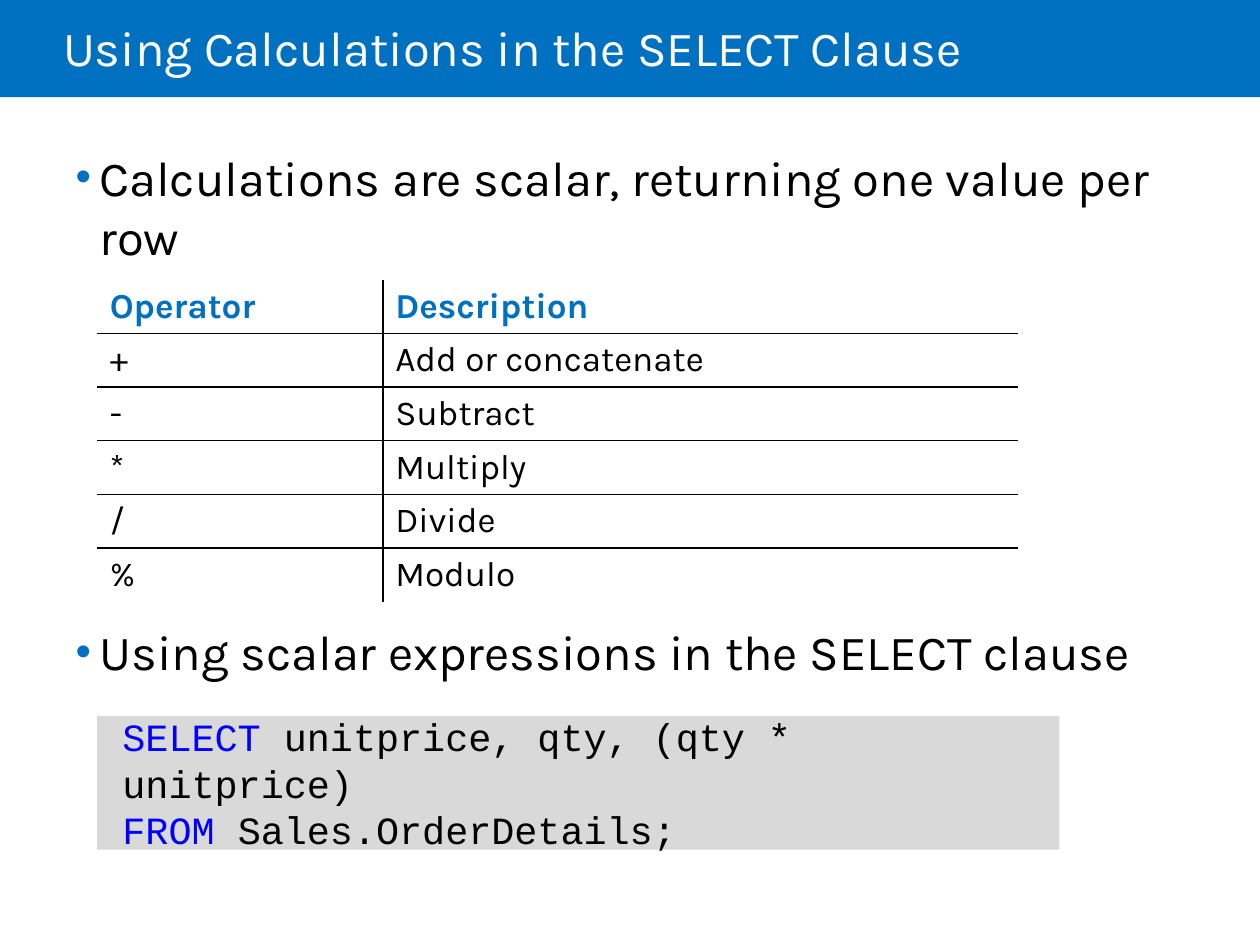
from lxml import etree
from pptx import Presentation
from pptx.dml.color import RGBColor
from pptx.enum.shapes import MSO_SHAPE
from pptx.enum.text import MSO_ANCHOR, MSO_AUTO_SIZE, PP_ALIGN
from pptx.oxml.ns import qn
from pptx.util import Cm, Pt

RECT = MSO_SHAPE.RECTANGLE
MIDDLE = MSO_ANCHOR.MIDDLE
NO_AUTOFIT = MSO_AUTO_SIZE.NONE
LEFT = PP_ALIGN.LEFT

COLORS = {"blue": "0070C0", "white": "FFFFFF", "black": "000000",
          "gray": "D9D9D9", "keyword": "0000FF"}
FONT, CODE_FONT = "Karla", "Courier New"

OPERATORS = [("Operator", "Description"), ("+", "Add or concatenate"),
             ("-", "Subtract"), ("*", "Multiply"), ("/", "Divide"),
             ("%", "Modulo")]
# The second bullet stands below the table, so its gap spans the table.
BULLETS = [("Calculations are scalar, returning one value per row", 6),
           ("Using scalar expressions in the SELECT clause", 204)]
CODE = [("SELECT", " unitprice, qty, (qty * unitprice)"),
        ("FROM", " Sales.OrderDetails;")]


def rgb(name):
    return RGBColor.from_string(COLORS[name])


def add_text(p, text, size=28, color="black", font=FONT, bold=False):
    r = p.add_run()
    r.text = text
    r.font.size, r.font.name, r.font.bold = Pt(size), font, bold
    r.font.color.rgb = rgb(color)


def place(sp, left, top, width, height):
    sp.left, sp.top, sp.width, sp.height = map(Cm, (left, top, width, height))


def add_rect(s, box, color):
    sp = s.shapes.add_shape(RECT, *map(Cm, box))
    sp.shadow.inherit = False
    sp.fill.solid()
    sp.fill.fore_color.rgb = rgb(color)
    sp.line.fill.background()
    return sp


def add_bullet(p, color):
    pPr = p._p.get_or_add_pPr()
    pPr.set("marL", str(Cm(0.48)))
    pPr.set("indent", str(-Cm(0.48)))
    clr = etree.SubElement(pPr, qn("a:buClr"))
    etree.SubElement(clr, qn("a:srgbClr"), val=COLORS[color])
    etree.SubElement(pPr, qn("a:buSzPct"), val="90000")
    etree.SubElement(pPr, qn("a:buFont"), typeface="Arial")
    etree.SubElement(pPr, qn("a:buChar"), char="•")


def set_borders(cell, visible):
    """Draw the sides named in visible (from L, R, T, B) and hide the others."""
    tcPr = cell._tc.get_or_add_tcPr()
    for side in "LRTB":
        ln = etree.SubElement(tcPr, qn(f"a:ln{side}"), w=str(Pt(1)))
        if side in visible:
            fill = etree.SubElement(ln, qn("a:solidFill"))
            etree.SubElement(fill, qn("a:srgbClr"), val=COLORS["black"])
        else:
            etree.SubElement(ln, qn("a:noFill"))


def header(s, left, top, width, height):
    bar = add_rect(s, (left, top, width, height), "blue")
    title = s.shapes.title
    title.element.getparent().insert(2, bar.element)
    place(title, left + 1.27, top, 21.59, height + 0.1)
    tf = title.text_frame
    tf.auto_size, tf.vertical_anchor = NO_AUTOFIT, MIDDLE
    tf.margin_left = 0
    p = tf.paragraphs[0]
    p.alignment, p.line_spacing = LEFT, 0.85
    add_text(p, "Using Calculations in the SELECT Clause", color="white")


def bullet_list(s, *box):
    body = s.placeholders[1]
    place(body, *box)
    tf = body.text_frame
    tf.auto_size = NO_AUTOFIT
    for i, (text, gap) in enumerate(BULLETS):
        p = tf.add_paragraph() if i else tf.paragraphs[0]
        p.space_before = Pt(gap)
        add_bullet(p, "blue")
        add_text(p, text)


def code_box(s, *box):
    tf = add_rect(s, box, "gray").text_frame
    tf.word_wrap, tf.vertical_anchor = True, MIDDLE
    tf.margin_left = tf.margin_right = Cm(0.51)
    for i, (keyword, rest) in enumerate(CODE):
        p = tf.add_paragraph() if i else tf.paragraphs[0]
        p.alignment = LEFT
        add_text(p, keyword, 22, "keyword", CODE_FONT)
        add_text(p, rest, 22, font=CODE_FONT)


def operator_table(s, left, top, width, height):
    rows = len(OPERATORS)
    table = s.shapes.add_table(rows, 2, *map(Cm, (left, top, width, height))).table
    table.first_row = table.horz_banding = False
    for col, share in zip(table.columns, (0.31, 0.69)):
        col.width = Cm(width * share)
    for i, texts in enumerate(OPERATORS):
        for j, text in enumerate(texts):
            cell = table.cell(i, j)
            sides = "RL"[j] + ("T" if i else "") + ("B" if i < rows - 1 else "")
            set_borders(cell, sides)
            cell.fill.solid()
            cell.fill.fore_color.rgb = rgb("white")
            add_text(cell.text_frame.paragraphs[0], text, 20,
                     "black" if i else "blue", bold=i == 0)


def main():
    prs = Presentation()
    prs.slide_width, prs.slide_height = Cm(25.4), Cm(19.05)
    s = prs.slides.add_slide(prs.slide_layouts[1])
    header(s, 0, 0, 25.4, 1.96)
    bullet_list(s, 1.27, 2.84, 22.56, 14.3)
    code_box(s, 1.96, 14.43, 19.4, 2.7)
    operator_table(s, 1.96, 5.64, 18.57, 5.94)
    prs.save("out.pptx")


if __name__ == "__main__":
    main()
